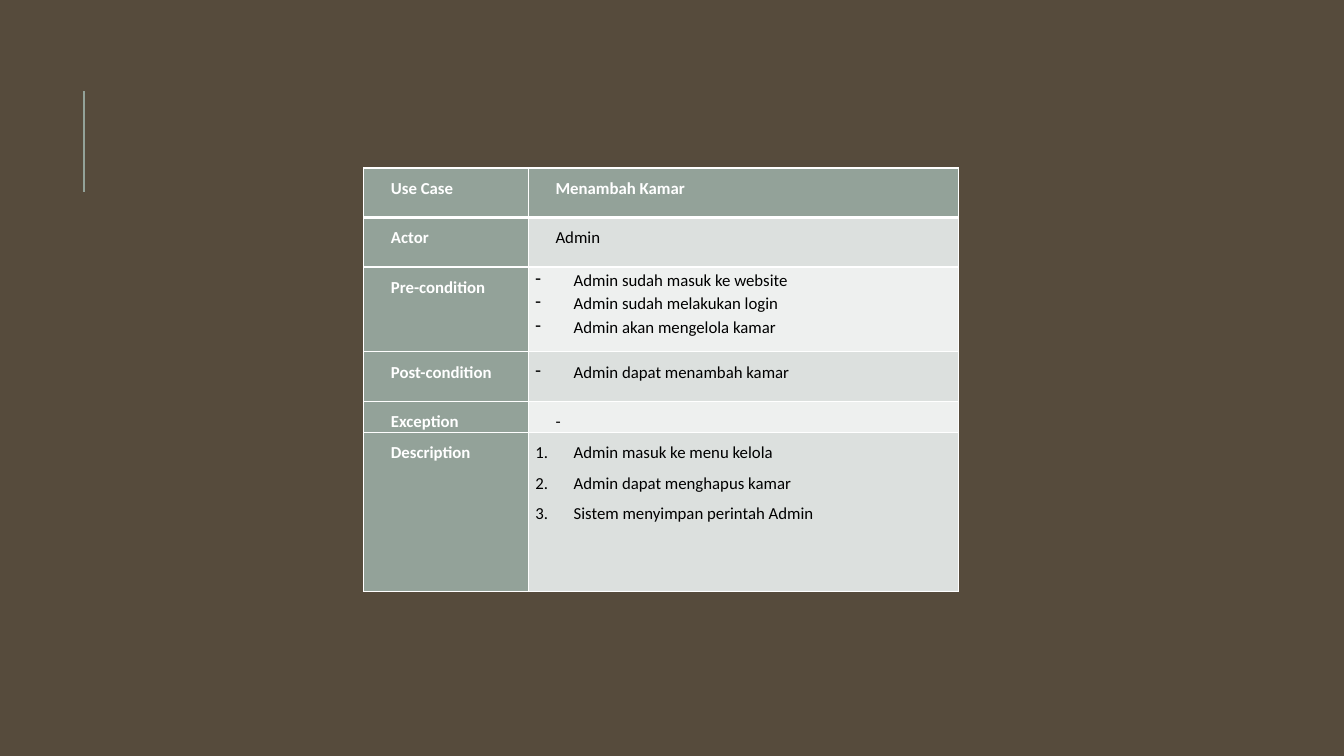
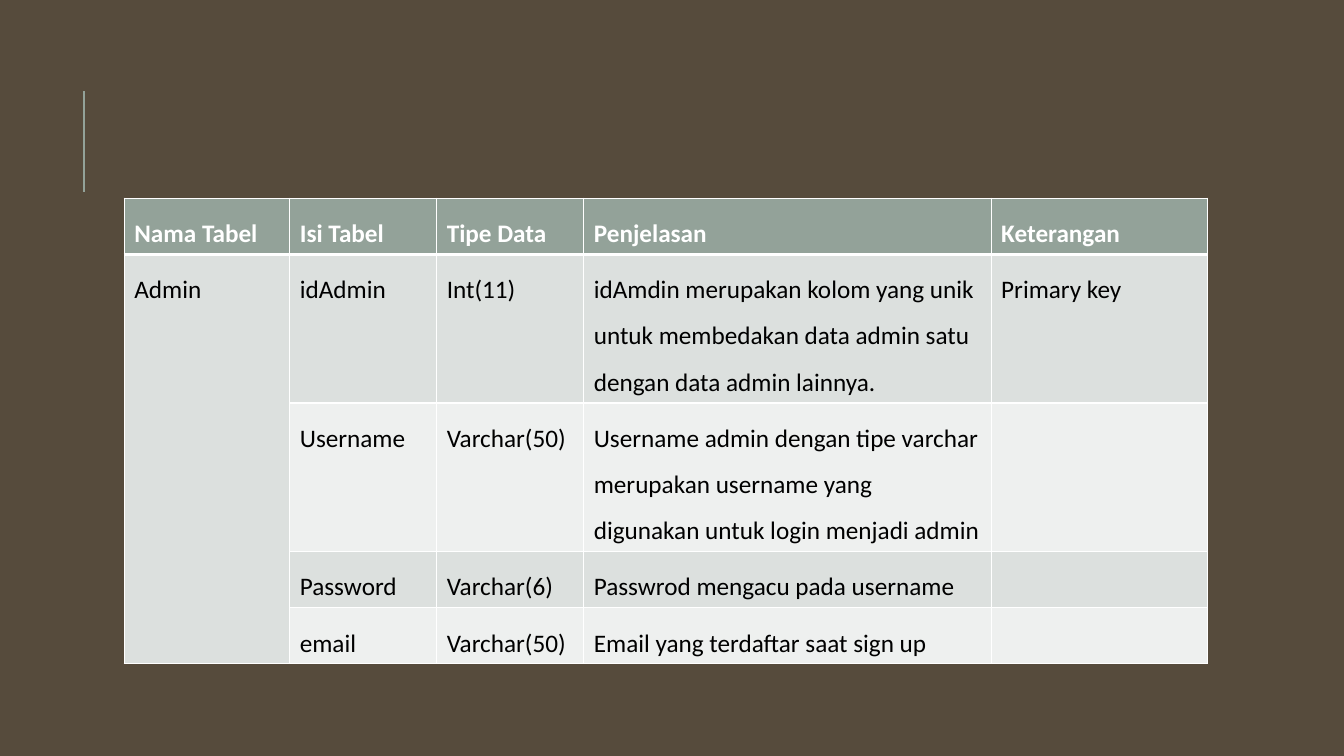
import lxml.etree
import pptx
import pptx.dml.color
import pptx.enum.shapes
import pptx.enum.text
import pptx.oxml
import pptx.oxml.ns
import pptx.util

WIDTH = pptx.util.Inches(13.33)
HEIGHT = pptx.util.Inches(7.5)
GRID_COLUMNS, GRID_ROWS = 16, 9
FONT = "Calibri"
BROWN, SAGE, WHITE, BLACK = "564B3C", "93A299", "FFFFFF", "000000"
BANDS = ("DCE0DE", "EEF0EF")
HANGING = (0.5, -0.3)
LISTED = (0.38, -0.38)
DASH = ("buChar", "char", "-")
NUMBER = ("buAutoNum", "type", "arabicPeriod")


def columns(count):
    return round(WIDTH * count / GRID_COLUMNS)


def rows(count):
    return round(HEIGHT * count / GRID_ROWS)


def color(value):
    return pptx.dml.color.RGBColor.from_string(value)


def add_slide(presentation):
    slide = presentation.slides.add_slide(presentation.slide_layouts[6])
    line = slide.shapes.add_connector(
        pptx.enum.shapes.MSO_CONNECTOR.STRAIGHT,
        columns(1), rows(2.28), columns(1), rows(1.08))
    line.line.color.rgb = color(SAGE)
    line.line.width = pptx.util.Pt(1.5)
    lxml.etree.SubElement(line.element.spPr, pptx.oxml.ns.qn("a:effectLst"))
    return slide


def set_borders(cell, top, bottom):
    properties = cell._tc.get_or_add_tcPr()
    for side, points in (("L", 1), ("R", 1), ("T", top), ("B", bottom)):
        properties.append(pptx.oxml.parse_xml(
            f'<a:ln{side} {pptx.oxml.ns.nsdecls("a")} w="{pptx.util.Pt(points)}">'
            f'<a:solidFill><a:srgbClr val="{WHITE}"/></a:solidFill></a:ln{side}>'))


def set_indent(paragraph, indent, bullet=None):
    properties = paragraph._p.get_or_add_pPr()
    left, first = indent
    properties.set("marL", str(pptx.util.Inches(left)))
    properties.set("indent", str(pptx.util.Inches(first)))
    if bullet:
        tag, attribute, value = bullet
        mark = lxml.etree.SubElement(properties, pptx.oxml.ns.qn(f"a:{tag}"))
        mark.set(attribute, value)


def add_table(slide, left, top, widths, heights, content, size, header_column=False):
    table = slide.shapes.add_table(
        len(heights), len(widths), columns(left), rows(top),
        columns(sum(widths)), rows(sum(heights))).table
    table.horz_banding = False
    table.first_col = header_column
    for column, width in zip(table.columns, widths):
        column.width = columns(width)
    for row, height in zip(table.rows, heights):
        row.height = rows(height)
    for row_index, texts in enumerate(content):
        for column_index, text in enumerate(texts):
            heading = row_index == 0 or (header_column and column_index == 0)
            cell = table.cell(row_index, column_index)
            set_borders(cell, 3 if row_index == 1 else 1, 3 if row_index == 0 else 1)
            cell.fill.solid()
            cell.fill.fore_color.rgb = color(SAGE if heading else BANDS[(row_index - 1) % 2])
            cell.text_frame.text = text
            for paragraph in cell.text_frame.paragraphs:
                paragraph.line_spacing = 1.5
                paragraph.font.size = pptx.util.Pt(size)
                for run in paragraph.runs:
                    run.font.name = FONT
                    run.font.size = pptx.util.Pt(size)
                    run.font.bold = heading
                    run.font.color.rgb = color(WHITE if heading else BLACK)
    return table


def format_use_case(table, lists):
    for cell in table.iter_cells():
        cell.margin_left = cell.margin_right = pptx.util.Inches(0.07)
        cell.margin_top = cell.margin_bottom = 0
    for row_index in range(len(table.rows)):
        for column_index in range(len(table.columns)):
            bullet, spacing = None, 1.5
            if column_index == 1 and row_index in lists:
                bullet, spacing = lists[row_index]
            for paragraph in table.cell(row_index, column_index).text_frame.paragraphs:
                for defaults in paragraph._p.pPr.findall(pptx.oxml.ns.qn("a:defRPr")):
                    paragraph._p.pPr.remove(defaults)
                paragraph.alignment = pptx.enum.text.PP_ALIGN.JUSTIFY
                paragraph.line_spacing = spacing
                set_indent(paragraph, LISTED if bullet else HANGING, bullet)


def add_use_case_slide(presentation):
    content = [
        ("Use Case", "Menambah Kamar"),
        ("Actor", "Admin"),
        ("Pre-condition", "Admin sudah masuk ke website\n"
                          "Admin sudah melakukan login\n"
                          "Admin akan mengelola kamar"),
        ("Post-condition", "Admin dapat menambah kamar"),
        ("Exception", "-"),
        ("Description", "Admin masuk ke menu kelola\n"
                        "Admin dapat menghapus kamar\n"
                        "Sistem menyimpan perintah Admin"),
    ]
    table = add_table(
        add_slide(presentation), 4.33, 2, (1.96, 5.12),
        (0.59, 0.59, 1.01, 0.59, 0.32, 1.9), content, 12, header_column=True)
    format_use_case(table, {2: (DASH, 1.15), 3: (DASH, 1.5), 5: (NUMBER, 1.5)})


def add_data_slide(presentation):
    content = [
        ("Nama Tabel", "Isi Tabel", "Tipe Data", "Penjelasan", "Keterangan"),
        ("Admin", "idAdmin", "Int(11)",
         "idAmdin merupakan kolom yang unik untuk membedakan data admin satu "
         "dengan data admin lainnya.", "Primary key"),
        ("", "Username", "Varchar(50)",
         "Username admin dengan tipe varchar merupakan username yang digunakan "
         "untuk login menjadi admin", ""),
        ("", "Password", "Varchar(6)", "Passwrod mengacu pada username", ""),
        ("", "email", "Varchar(50)", "Email yang terdaftar saat sign up", ""),
    ]
    table = add_table(
        add_slide(presentation), 1.48, 2.36, (1.97, 1.75, 1.75, 4.85, 2.58),
        (0.61, 1.52, 1.52, 0.61, 0.61), content, 18)
    table.cell(1, 0).merge(table.cell(4, 0))


def main():
    presentation = pptx.Presentation()
    presentation.slide_width = WIDTH
    presentation.slide_height = HEIGHT
    background = presentation.slide_master.background.fill
    background.solid()
    background.fore_color.rgb = color(BROWN)
    add_use_case_slide(presentation)
    add_data_slide(presentation)
    presentation.save("out.pptx")


if __name__ == "__main__":
    main()
